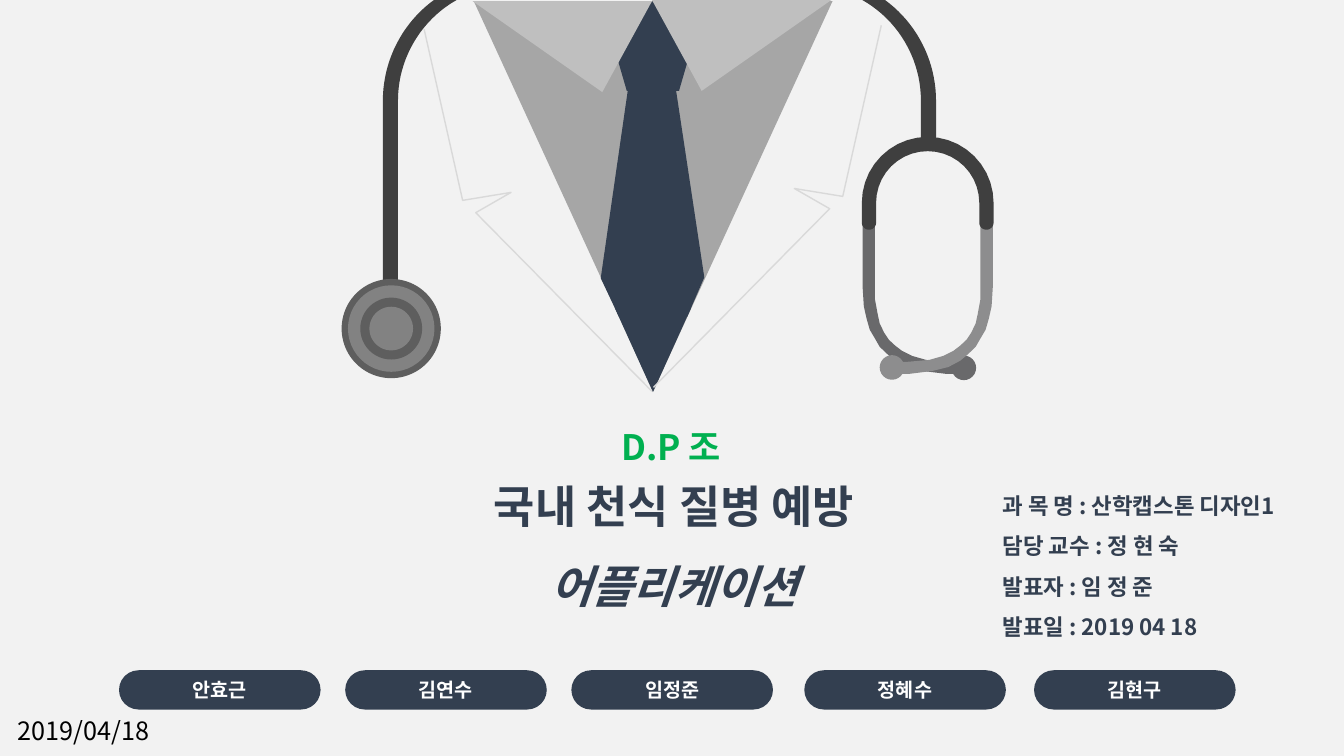
"""Build the title slide of the asthma prevention app presentation."""
from math import asin, cos, degrees, radians, sin

from lxml.etree import SubElement
from pptx import Presentation
from pptx.dml.color import RGBColor
from pptx.enum.shapes import MSO_SHAPE as Preset
from pptx.enum.text import MSO_ANCHOR as Anchor, MSO_AUTO_SIZE as AutoSize, PP_ALIGN as Align
from pptx.oxml.ns import qn
from pptx.util import Cm, Pt

FONT = "Noto Sans CJK KR"
BACKGROUND = RGBColor(0xF2, 0xF2, 0xF2)
NAVY = RGBColor(0x33, 0x3F, 0x50)
SHIRT = RGBColor(0xA6, 0xA6, 0xA6)
COLLAR = RGBColor(0xBF, 0xBF, 0xBF)
LAPEL = RGBColor(0xD9, 0xD9, 0xD9)
TUBE = RGBColor(0x3F, 0x3F, 0x3F)
RIM = RGBColor(0x5E, 0x5E, 0x5E)
METAL = RGBColor(0x82, 0x82, 0x82)
DARK_STEEL = RGBColor(0x69, 0x69, 0x6B)
LIGHT_STEEL = RGBColor(0x8D, 0x8D, 0x8E)
GREEN = RGBColor(0x00, 0xB0, 0x50)
WHITE = RGBColor(0xFF, 0xFF, 0xFF)
BLACK = RGBColor(0x00, 0x00, 0x00)

TIE = [(15.82, 2.29), (17.04, 2.29), (17.75, 6.99), (17.32, 7.98), (15.6, 7.98), (15.14, 7.01)]
LAPEL_EDGE = [(10.69, 0.74), (11.66, 5.05), (12.88, 4.85), (11.99, 5.36), (16.43, 9.86)]
EAR_TUBE = [
    (24.28, 9.42), (23.83, 9.42), (23.27, 9.35), (22.86, 9.25), (22.56, 9.09), (22.38, 8.94),
    (22.17, 8.74), (22.05, 8.53), (21.92, 8.31), (21.84, 8.03), (21.77, 7.72), (21.74, 7.24),
    (21.74, 5.61), (22.05, 5.61), (22.05, 7.54), (22.12, 7.92), (22.17, 8.15), (22.28, 8.38),
    (22.4, 8.56), (22.56, 8.71), (22.73, 8.84), (22.99, 8.97), (23.34, 9.07), (23.9, 9.12),
    (24.28, 9.12),
]
MEMBERS = {"안효근": 3, "김연수": 8.7, "임정준": 14.4, "정혜수": 20.27, "김현구": 26.06}
DETAILS = ["과 목 명 : 산학캡스톤 디자인1", "담당 교수 : 정 현 숙", "발표자 : 임 정 준",
           "발표일 : 2019 04 18"]


def mirror(points, middle, lift=0):
    return [(2 * middle - x, y - lift) for x, y in points]


def arc(x, y, radius, start, end, steps=20):
    angles = [radians(start + (end - start) * step / steps) for step in range(steps + 1)]
    return [(x + radius * cos(angle), y + radius * sin(angle)) for angle in angles]


def paint(shape, color):
    shape.shadow.inherit = False
    shape.fill.solid()
    shape.fill.fore_color.rgb = color
    shape.line.fill.background()
    return shape


def add_preset(page, preset, left, top, width, height, color, adjust=None, turn=0):
    shape = page.shapes.add_shape(preset, Cm(left), Cm(top), Cm(width), Cm(height))
    if adjust is not None:
        shape.adjustments[0] = adjust
    shape.rotation = turn
    return paint(shape, color)


def add_disc(page, x, y, radius, color):
    add_preset(page, Preset.OVAL, x - radius, y - radius, 2 * radius, 2 * radius, color)


def add_outline(page, points, close=True):
    corners = [(Cm(x), Cm(y)) for x, y in points]
    builder = page.shapes.build_freeform(*corners[0], scale=1.0)
    builder.add_line_segments(corners[1:], close=close)
    return builder.convert_to_shape()


def add_lapel(page, points):
    edge = add_outline(page, points, close=False)
    edge.shadow.inherit = False
    edge.fill.background()
    edge.line.color.rgb = LAPEL
    edge.line.width = Pt(1)


def neck_tube(bottom):
    outer, inner, height = 3.15, 2.92, 2.54
    return (arc(12.8, height, outer, 180 + degrees(asin(height / outer)), 180)
            + [(9.65, bottom), (10.03, bottom)]
            + arc(12.95, height, inner, 180, 180 + degrees(asin(height / inner))))


def yoke():
    x, y, outer, inner, tip = 23.38, 5.11, 1.66, 1.3, 5.61
    leg, cap = (outer + inner) / 2, (outer - inner) / 2
    return (arc(x, y, outer, 180, 360) + arc(x + leg, tip, cap, 0, 180)
            + arc(x, y, inner, 360, 180) + arc(x - leg, tip, cap, 0, 180))


def write(shape, lines, size, color, align=Align.LEFT, spacing=1.0, bold=True, anchor=Anchor.TOP):
    frame = shape.text_frame
    frame.word_wrap = True
    frame.auto_size = AutoSize.NONE
    frame.vertical_anchor = anchor
    frame.text = "\n".join(lines)
    for para in frame.paragraphs:
        para.alignment = align
        para.line_spacing = spacing
        for span in para.runs:
            font = span.font
            font.name, font.size, font.bold = FONT, Pt(size), bold
            font.color.rgb = color
            SubElement(span._r.get_or_add_rPr(), qn("a:ea")).set("typeface", FONT)


def add_text(page, left, top, width, height, lines, size, color, **style):
    box = page.shapes.add_textbox(Cm(left), Cm(top), Cm(width), Cm(height))
    write(box, lines, size, color, **style)


def draw_suit(page):
    triangle = Preset.ISOSCELES_TRIANGLE
    add_preset(page, triangle, 11.94, 0.03, 9.04, 9.83, SHIRT, 0.5, 180)
    add_preset(page, Preset.REGULAR_PENTAGON, 15.39, 0.03, 2.13, 2.26, NAVY)
    paint(add_outline(page, TIE), NAVY)
    add_preset(page, triangle, 11.91, 0.03, 4.52, 2.29, COLLAR, 0.277, 180)
    add_preset(page, triangle, 16.43, 0, 4.52, 2.29, COLLAR, 0.723, 180)
    add_preset(page, triangle, 15.49, 7.75, 1.93, 2.13, NAVY, 0.5, 180)
    add_lapel(page, LAPEL_EDGE)
    add_lapel(page, mirror(LAPEL_EDGE, 16.45, lift=0.1))


def draw_stethoscope(page):
    paint(add_outline(page, neck_tube(8.92)), TUBE)
    paint(add_outline(page, mirror(neck_tube(3.73), 16.62)), TUBE)
    for radius, color in [(1.25, RIM), (1.09, METAL), (0.78, RIM), (0.55, METAL)]:
        add_disc(page, 9.86, 8.28, radius, color)
    paint(add_outline(page, EAR_TUBE), DARK_STEEL)
    add_disc(page, 24.29, 9.27, 0.31, DARK_STEEL)
    paint(add_outline(page, mirror(EAR_TUBE, 23.38)), LIGHT_STEEL)
    add_disc(page, 22.48, 9.26, 0.31, LIGHT_STEEL)
    paint(add_outline(page, yoke()), TUBE)


def place_title(page):
    title = page.shapes.title
    title.left, title.top, title.width, title.height = Cm(8.48), Cm(11.25), Cm(17.02), Cm(5)
    write(title, ["국내 천식 질병 예방", "어플리케이션"], 32, NAVY, align=Align.CENTER, spacing=1.5)
    title.text_frame.paragraphs[1].runs[0].font.italic = True


def add_member(page, name, left):
    pill = add_preset(page, Preset.ROUNDED_RECTANGLE, left, 16.89, 5.08, 0.99, NAVY, 0.5)
    write(pill, [name], 14, WHITE, align=Align.CENTER, anchor=Anchor.MIDDLE)


def main():
    deck = Presentation()
    deck.slide_width, deck.slide_height = Cm(33.87), Cm(19.05)
    page = deck.slides.add_slide(deck.slide_layouts[5])
    page.background.fill.solid()
    page.background.fill.fore_color.rgb = BACKGROUND
    draw_suit(page)
    draw_stethoscope(page)
    place_title(page)
    for name, left in MEMBERS.items():
        add_member(page, name, left)
    add_text(page, 14.58, 10.06, 4.67, 1.65, ["D.P 조"], 25, GREEN, align=Align.CENTER, spacing=1.5)
    add_text(page, 25.02, 11.94, 8.64, 4.8, DETAILS, 16, NAVY, spacing=1.5)
    add_text(page, 0.2, 17.91, 4.9, 1.02, ["2019/04/18"], 18, BLACK, bold=False)
    deck.save("out.pptx")


if __name__ == "__main__":
    main()
